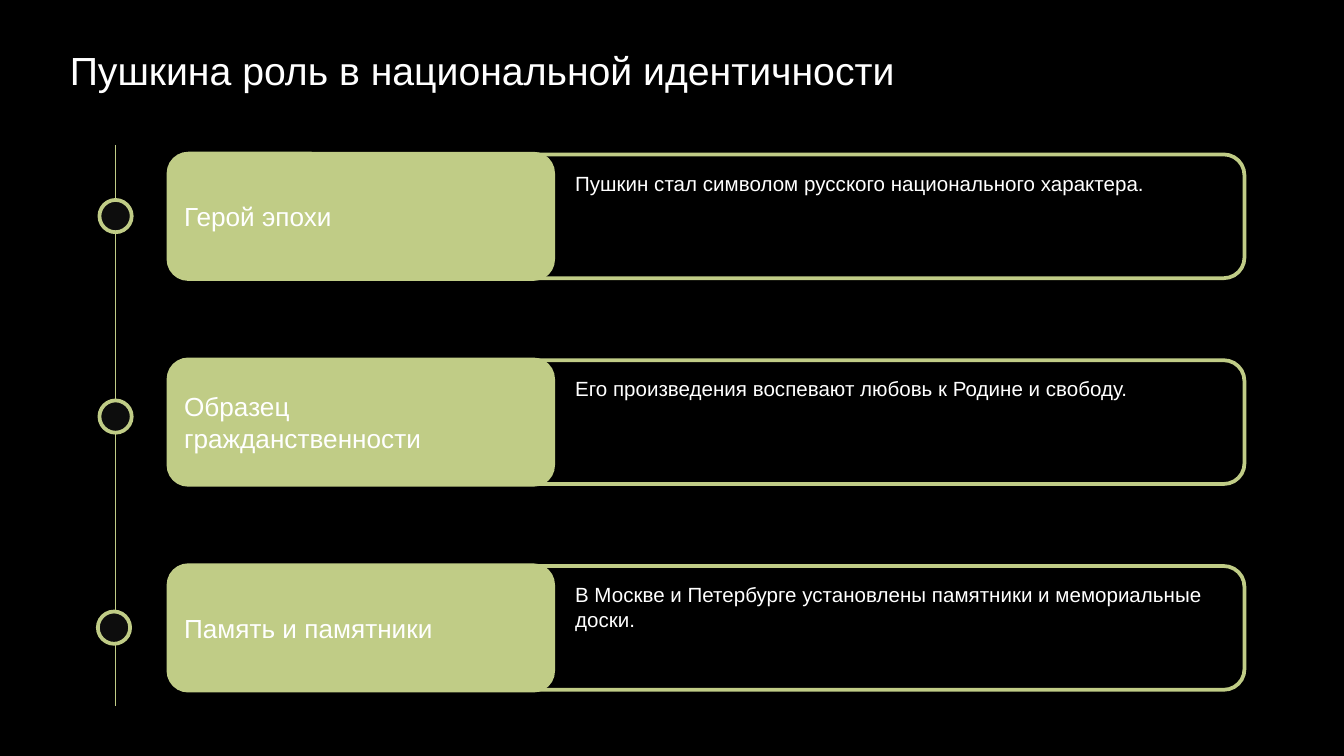
from lxml import etree
from pptx import Presentation
from pptx.dml.color import RGBColor
from pptx.enum import shapes, text
from pptx.oxml import ns
from pptx.util import Cm, Pt

BLACK = RGBColor(0x00, 0x00, 0x00)
WHITE = RGBColor(0xFF, 0xFF, 0xFF)
OLIVE = RGBColor(0xC0, 0xCC, 0x86)
CHARCOAL = RGBColor(0x0D, 0x0D, 0x0D)

ROW_TOP = 2.87
ROW_PITCH = 3.89
CARD_HEIGHT = 2.44
MARKER_SIZE = 0.61

# Heading, description, and left and top of the timeline marker in cm
ROLES = [
    ("Герой эпохи", "Пушкин стал символом русского национального характера.", 1.88, 3.78),
    ("Образец гражданственности", "Его произведения воспевают любовь к Родине и свободу.", 1.88, 7.57),
    ("Память и памятники", "В Москве и Петербурге установлены памятники и мемориальные доски.", 1.85, 11.56),
]


def add_text(slide, words, left, top, width, height, size=11,
             anchor=text.MSO_ANCHOR.TOP):
    box = slide.shapes.add_textbox(Cm(left), Cm(top), Cm(width), Cm(height))
    frame = box.text_frame
    frame.word_wrap = True
    frame.vertical_anchor = anchor
    paragraph = frame.paragraphs[0]
    run = paragraph.add_run()
    run.text = words
    run.font.name = "Arial"
    run.font.size = Pt(size)
    run.font.color.rgb = WHITE


def add_figure(slide, preset, left, top, width, height, fill=None, line=None):
    figure = slide.shapes.add_shape(preset, Cm(left), Cm(top), Cm(width), Cm(height))
    figure.shadow.inherit = False
    if fill is None:
        figure.fill.background()
    else:
        figure.fill.solid()
        figure.fill.fore_color.rgb = fill
    if line is None:
        figure.line.fill.background()
    else:
        figure.line.color.rgb = line
        figure.line.width = Pt(2)


def add_timeline(slide, x, top, bottom):
    axis = slide.shapes.add_connector(
        shapes.MSO_CONNECTOR.STRAIGHT, Cm(x), Cm(top), Cm(x), Cm(bottom))
    axis.line.color.rgb = OLIVE
    axis.line.width = Pt(0.75)
    etree.SubElement(axis._element.spPr, ns.qn("a:effectLst"))


def add_role(slide, heading, description, top):
    rounded = shapes.MSO_SHAPE.ROUNDED_RECTANGLE
    add_figure(slide, rounded, 9.5, top + 0.05, 14.02, CARD_HEIGHT - 0.1, line=OLIVE)
    add_text(slide, description, 10.62, top + 0.23, 12.45, 1.98)
    add_figure(slide, rounded, 3.15, top, 7.34, CARD_HEIGHT, fill=OLIVE)
    add_text(slide, heading, 3.23, top, 7.06, CARD_HEIGHT, size=14,
             anchor=text.MSO_ANCHOR.MIDDLE)


def main():
    deck = Presentation()
    deck.slide_width, deck.slide_height = Cm(25.4), Cm(14.29)
    slide = deck.slides.add_slide(deck.slide_layouts[6])
    slide.background.fill.solid()
    slide.background.fill.fore_color.rgb = BLACK

    # Title
    add_text(slide, "Пушкина роль в национальной идентичности",
             1.07, 0.76, 23.52, 1.35, size=21)

    # Timeline with a marker and a card for each role
    add_timeline(slide, 2.18, 2.74, 13.34)
    for row, (heading, description, marker_left, marker_top) in enumerate(ROLES):
        add_role(slide, heading, description, ROW_TOP + row * ROW_PITCH)
        add_figure(slide, shapes.MSO_SHAPE.OVAL, marker_left, marker_top,
                   MARKER_SIZE, MARKER_SIZE, fill=CHARCOAL, line=OLIVE)

    deck.save("out.pptx")


if __name__ == "__main__":
    main()
